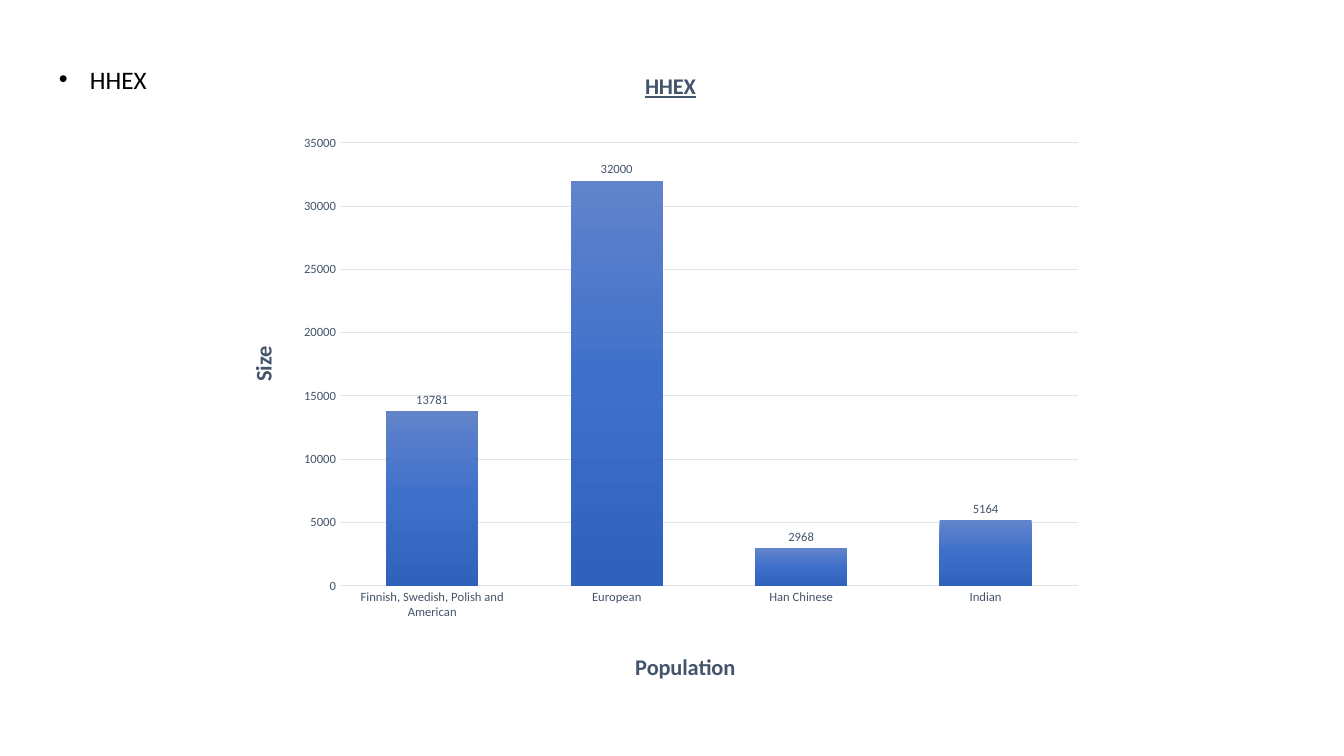
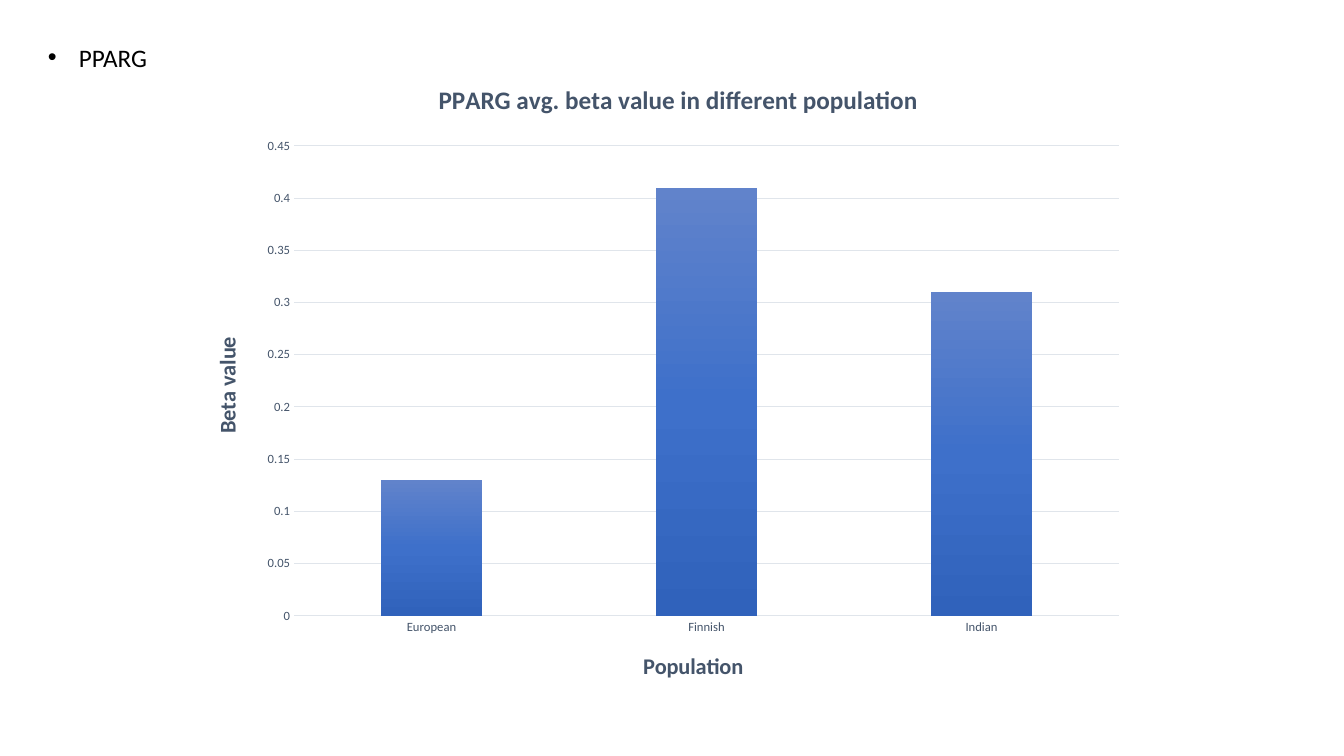
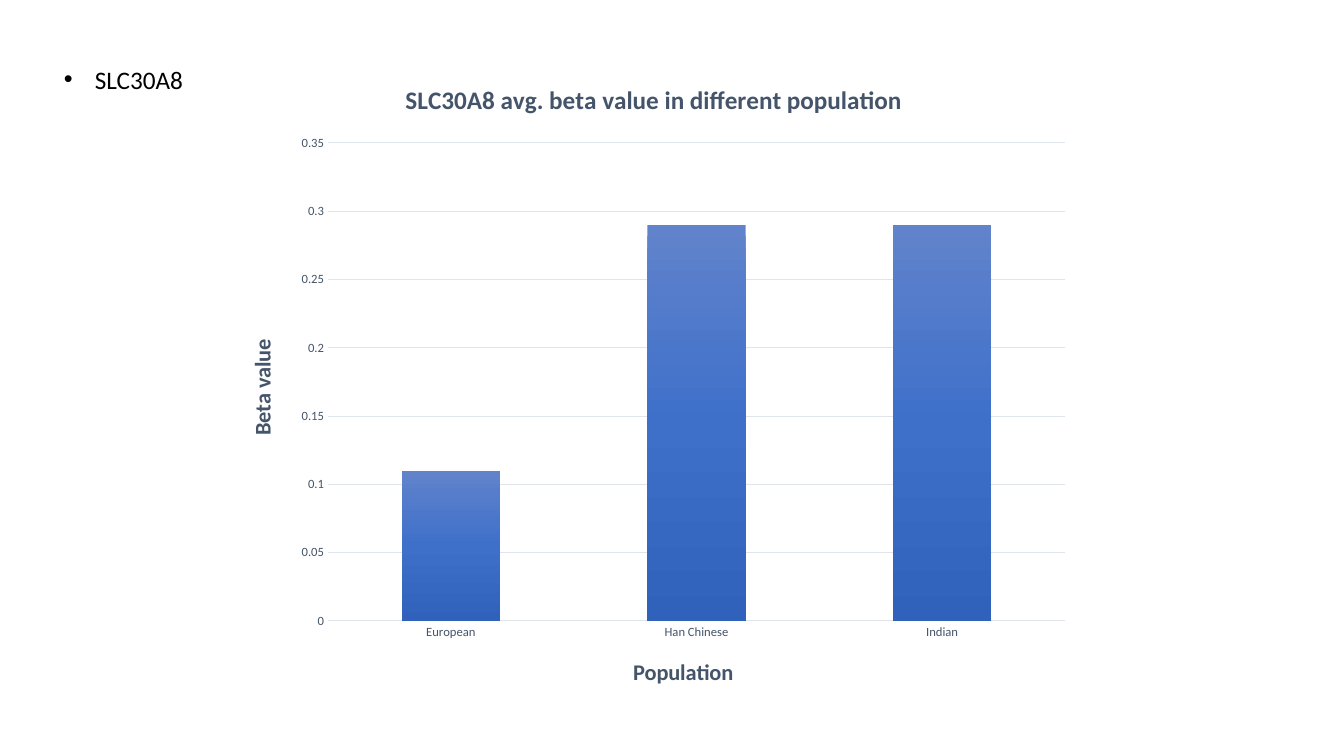
import pptx
import pptx.util
import pptx.chart.data
import pptx.dml.color
import pptx.enum.chart
import pptx.enum.text
import pptx.oxml
import pptx.oxml.ns

RGB = pptx.dml.color.RGBColor
BLACK = RGB(0x00, 0x00, 0x00)
SLATE = RGB(0x44, 0x54, 0x6A)
PALE = RGB(0xE0, 0xE5, 0xEB)
BLUES = (
    (0, RGB(0x61, 0x83, 0xCB)),
    (50, RGB(0x3E, 0x70, 0xCA)),
    (100, RGB(0x30, 0x62, 0xBB)),
)
FONT = "Calibri"
WIDE, HIGH = 1344, 756
SCALE = 12192000 / WIDE
INDENT = 31

# Boxes are left, top, width, height; title spots are left, top.
SLIDES = [
    dict(
        gene="HHEX", label=(49, 59, 326, 40), frame=(218, 51, 882, 666),
        plot=(340, 143, 738, 443), gap=100, top=35000, step=5000,
        cats=["Finnish, Swedish, Polish and American", "European",
              "Han Chinese", "Indian"],
        vals=[13781, 32000, 2968, 5164], marks=True,
        head=("HHEX", 16, (641, 67)), under=True,
        base=("Population", 16, (631, 648)), side=("Size", 16, (244, 342)),
    ),
    dict(
        gene="PPARG", label=(38, 37, 252, 40), frame=(191, 62, 947, 644),
        plot=(294, 146, 825, 470), gap=170, top=0.45, step=0.05,
        cats=["European", "Finnish", "Indian"],
        vals=[0.13, 0.41, 0.31], marks=False,
        head=("PPARG avg. beta value in different population", 18, (434, 78)),
        under=False,
        base=("Population", 16, (639, 647)),
        side=("Beta value", 16, (208, 333)),
    ),
    dict(
        gene="SLC30A8", label=(54, 59, 295, 40), frame=(226, 59, 857, 651),
        plot=(328, 143, 737, 478), gap=150, top=0.35, step=0.05,
        cats=["European", "Han Chinese", "Indian"],
        vals=[0.11, 0.29, 0.29], marks=False,
        head=("SLC30A8 avg. beta value in different population", 18, (401, 78)),
        under=False,
        base=("Population", 16, (629, 653)),
        side=("Beta value", 16, (243, 335)),
    ),
]


def px(n):
    return pptx.util.Emu(round(n * SCALE))


def style(font, size, color, bold=False):
    font.name = FONT
    font.size = pptx.util.Pt(size)
    font.color.rgb = color
    font.bold = bold


def bullet(slide, text, box):
    shape = slide.shapes.add_textbox(*map(px, box))
    frame = shape.text_frame
    frame.word_wrap = True
    frame.auto_size = pptx.enum.text.MSO_AUTO_SIZE.SHAPE_TO_FIT_TEXT
    para = frame.paragraphs[0]
    props = para._p.get_or_add_pPr()
    props.set("marL", str(px(INDENT)))
    props.set("indent", str(-px(INDENT)))
    ns = pptx.oxml.ns.nsdecls("a")
    props.append(pptx.oxml.parse_xml(f'<a:buFont {ns} typeface="Arial"/>'))
    props.append(pptx.oxml.parse_xml(f'<a:buChar {ns} char="•"/>'))
    run = para.add_run()
    run.text = text
    style(run.font, 18, BLACK)


def place(node, index, frame, box, inner=False):
    """Fix a chart part at a slide position, as shares of the chart frame."""
    left, top, width, height = frame
    parts = [("x", (box[0] - left) / width), ("y", (box[1] - top) / height)]
    if len(box) == 4:
        parts += [("w", box[2] / width), ("h", box[3] / height)]
    target = '<c:layoutTarget val="inner"/>' if inner else ""
    modes = '<c:xMode val="edge"/><c:yMode val="edge"/>'
    sizes = "".join(f'<c:{key} val="{val:.4f}"/>' for key, val in parts)
    old = node.find(pptx.oxml.ns.qn("c:layout"))
    if old is not None:
        node.remove(old)
    node.insert(index, pptx.oxml.parse_xml(
        f'<c:layout {pptx.oxml.ns.nsdecls("c")}><c:manualLayout>'
        f'{target}{modes}{sizes}</c:manualLayout></c:layout>'))


def title(owner, words, frame, under=False, turn=False):
    text, size, spot = words
    run = owner.text_frame.paragraphs[0].add_run()
    run.text = text
    style(run.font, size, SLATE, True)
    run.font.underline = under
    if turn:
        body = owner._element.xpath("c:tx/c:rich/a:bodyPr")[0]
        body.set("rot", "-5400000")
        body.set("vert", "horz")
    place(owner._element, 1, frame, spot)


def rule(line):
    line.color.rgb = PALE
    line.width = pptx.util.Pt(0.75)


def shade(series):
    """Fill the bars with the three blues, from top to bottom."""
    series.invert_if_negative = False
    series.format.fill.gradient()
    stops = "".join(
        f'<a:gs pos="{pos * 1000}"><a:srgbClr val="{color}"/></a:gs>'
        for pos, color in BLUES)
    fill = pptx.oxml.parse_xml(
        f'<a:gradFill {pptx.oxml.ns.nsdecls("a")} rotWithShape="1">'
        f'<a:gsLst>{stops}</a:gsLst><a:lin ang="5400000" scaled="0"/>'
        '</a:gradFill>')
    old = series._element.xpath("c:spPr/a:gradFill")[0]
    old.getparent().replace(old, fill)
    series.format.line.fill.background()


def bars(slide, item):
    frame = item["frame"]
    data = pptx.chart.data.CategoryChartData()
    data.categories = item["cats"]
    data.add_series("Series 1", item["vals"])
    kind = pptx.enum.chart.XL_CHART_TYPE.COLUMN_CLUSTERED
    chart = slide.shapes.add_chart(kind, *map(px, frame), data).chart
    style(chart.font, 10, BLACK)
    chart.has_legend = False
    chart.has_title = True
    title(chart.chart_title, item["head"], frame, item["under"])
    place(chart._chartSpace.chart.plotArea, 0, frame, item["plot"], True)

    # Axes
    cat, val = chart.category_axis, chart.value_axis
    for axis in (cat, val):
        axis.major_tick_mark = pptx.enum.chart.XL_TICK_MARK.NONE
        axis.minor_tick_mark = pptx.enum.chart.XL_TICK_MARK.NONE
        style(axis.tick_labels.font, 9, SLATE)
    rule(cat.format.line)
    val.format.line.fill.background()
    val.has_major_gridlines = True
    rule(val.major_gridlines.format.line)
    val.minimum_scale = 0
    val.maximum_scale = item["top"]
    val.major_unit = item["step"]
    title(cat.axis_title, item["base"], frame)
    title(val.axis_title, item["side"], frame, turn=True)

    # Columns
    plot = chart.plots[0]
    plot.vary_by_categories = False
    plot.gap_width = item["gap"]
    plot.overlap = -24
    shade(plot.series[0])
    if item["marks"]:
        plot.has_data_labels = True
        marks = plot.data_labels
        marks.show_value = True
        marks.position = pptx.enum.chart.XL_LABEL_POSITION.OUTSIDE_END
        style(marks.font, 9, SLATE)


def main():
    deck = pptx.Presentation()
    deck.slide_width, deck.slide_height = px(WIDE), px(HIGH)
    for item in SLIDES:
        slide = deck.slides.add_slide(deck.slide_layouts[6])
        bullet(slide, item["gene"], item["label"])
        bars(slide, item)
    deck.save("out.pptx")


if __name__ == "__main__":
    main()
